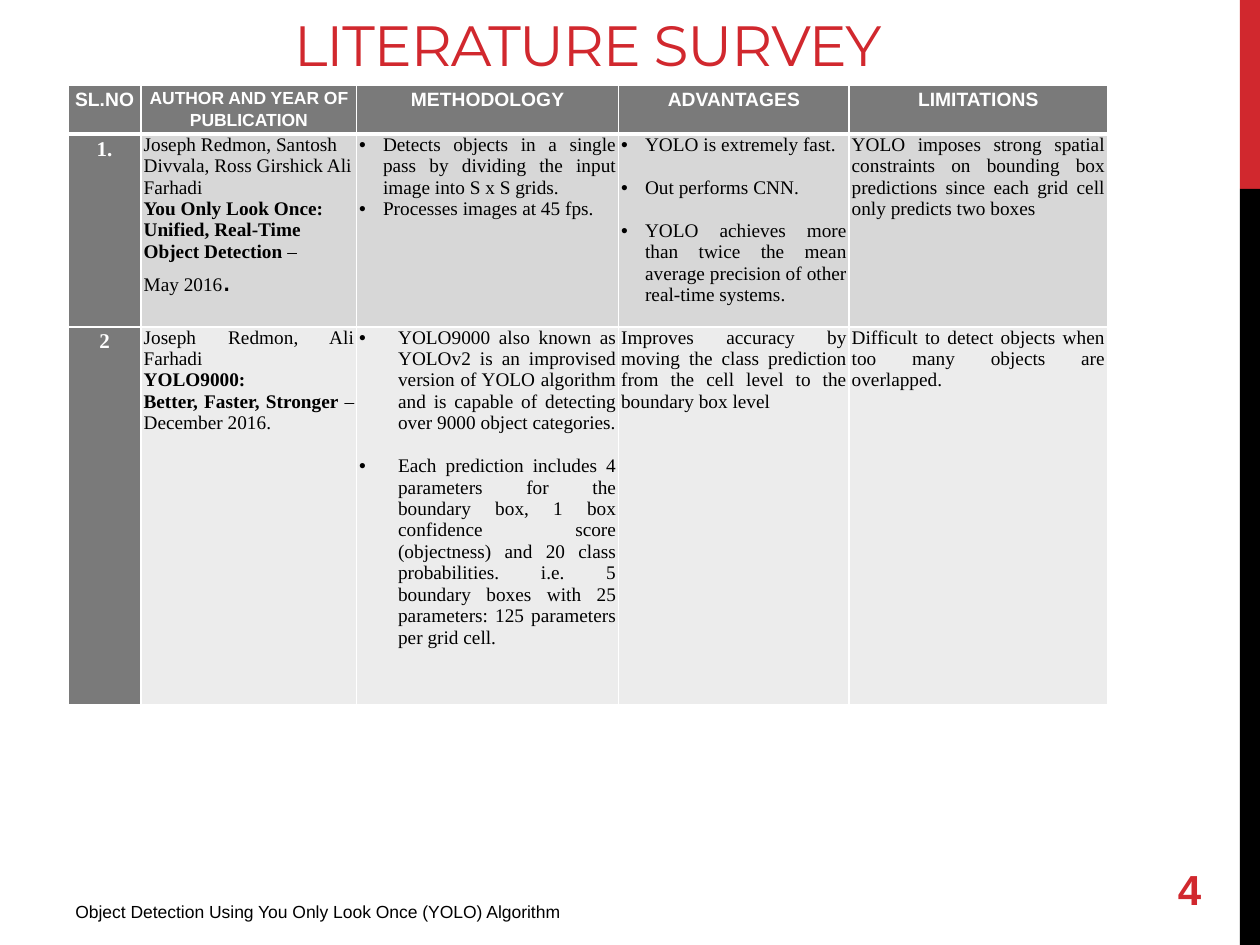
"""Build the literature survey slide with its table of object detection papers."""
from lxml import etree
from pptx import Presentation
from pptx.dml.color import RGBColor
from pptx.enum.shapes import MSO_SHAPE
from pptx.enum.text import MSO_ANCHOR, PP_ALIGN
from pptx.oxml.ns import qn
from pptx.util import Inches, Pt

RECT = MSO_SHAPE.RECTANGLE
TOP, MIDDLE, BOTTOM = MSO_ANCHOR.TOP, MSO_ANCHOR.MIDDLE, MSO_ANCHOR.BOTTOM
LEFT, CENTER, JUSTIFY = PP_ALIGN.LEFT, PP_ALIGN.CENTER, PP_ALIGN.JUSTIFY

COLORS = {
    "red": "D1282E", "black": "000000", "white": "FFFFFF",
    "head": "7A7A7A", "odd": "D7D7D7", "even": "ECECEC",
}
SERIF, SANS = "Times New Roman", "Arial"
BLANK_LINE = 12.3

BARS = [(0, 1.5, "red"), (1.5, 6, "black")]
LABELS = [
    ("Object Detection Using You Only Look Once (YOLO) Algorithm",
     (0.5, 7.1, 5.17, 0.31), TOP, LEFT, {"size": 10, "color": "black"}),
    ("4", (9.25, 6.84, 0.59, 0.42), MIDDLE, LEFT,
     {"size": 24, "color": "red", "bold": True}),
    ("LITERATURE SURVEY", (0, -0.01, 9.33, 0.68), BOTTOM, CENTER,
     {"size": 32.4, "color": "red", "font": "Montserrat", "spacing": -60}),
]

TABLE_AT = (0.54, 0.68)
COL_WIDTHS = [0.58, 1.71, 2.08, 1.83, 2.05]
ROW_HEIGHTS = [0.34, 1.53, 3]
HEADERS = [("SL.NO", 11), ("AUTHOR AND YEAR OF PUBLICATION", 10),
           ("METHODOLOGY", 11), ("ADVANTAGES", 11), ("LIMITATIONS", 11)]
BOLD = {"bold": True}


def para(*runs, align=JUSTIFY, indent=0, before=0, line=None):
    """Describe one paragraph; each run is a text or a (text, style) pair."""
    runs = [(r, {}) if isinstance(r, str) else r for r in runs]
    return {"runs": runs, "align": align, "indent": indent,
            "before": before, "line": line}


def heading(text, size, font):
    """Describe a centred white heading cell."""
    style = {"size": size, "font": font, "color": "white", "bold": True}
    return [para((text, style), align=CENTER, line=1.15)]


ROWS = [
    [heading(text, size, SANS) for text, size in HEADERS],
    [
        heading("1.", 12, SERIF),
        [
            para("Joseph Redmon, Santosh Divvala, Ross Girshick Ali Farhadi", align=LEFT),
            para(("You Only Look Once:", BOLD), align=LEFT),
            para(("Unified, Real-Time Object Detection", BOLD), " –", align=LEFT),
            para("May 2016", (".", {"size": 18, "font": SANS}), align=LEFT),
        ],
        [
            para("Detects objects in a single pass by dividing the input image "
                 "into S x S grids.", indent=0.19),
            para("Processes images at 45 fps.", indent=0.19),
        ],
        [
            para("YOLO is extremely fast.", align=LEFT, indent=0.19),
            para("Out performs CNN.", align=LEFT, indent=0.19, before=BLANK_LINE),
            para("YOLO achieves more than twice the mean average precision of "
                 "other real-time systems.", indent=0.19, before=BLANK_LINE),
        ],
        [para("YOLO imposes strong spatial constraints on bounding box predictions "
              "since each grid cell only predicts two boxes")],
    ],
    [
        heading("2", 12, SERIF),
        [
            para("Joseph Redmon, Ali Farhadi"),
            para(("YOLO9000:", BOLD)),
            para(("Better, Faster, Stronger ", BOLD), "– December 2016."),
        ],
        [
            para("YOLO9000 also known as YOLOv2 is an improvised version of YOLO "
                 "algorithm and is capable of detecting over 9000 object categories.",
                 indent=0.31),
            para("Each prediction includes 4 parameters for the boundary box, 1 box "
                 "confidence score (objectness) and 20 class probabilities. i.e. 5 "
                 "boundary boxes with 25 parameters: 125 parameters per grid cell.",
                 indent=0.31, before=BLANK_LINE),
        ],
        [para("Improves accuracy by moving the class prediction from the cell level "
              "to the boundary box level")],
        [para("Difficult to detect objects when too many objects are overlapped.")],
    ],
]


def rgb(name):
    return RGBColor.from_string(COLORS[name])


def add_run(p, text, size=11, font=SANS, color="black", bold=False, spacing=None):
    r = p.add_run()
    r.text = text
    r.font.size, r.font.name, r.font.bold = Pt(size), font, bold
    r.font.color.rgb = rgb(color)
    if spacing is not None:
        r.font._element.set("spc", str(spacing))


def add_bullet(p, indent):
    pPr = p._p.get_or_add_pPr()
    pPr.set("marL", str(Inches(indent)))
    pPr.set("indent", str(-Inches(indent)))
    etree.SubElement(pPr, qn("a:buFont"), typeface=SANS)
    etree.SubElement(pPr, qn("a:buChar"), char="•")


def write_paragraphs(tf, paragraphs):
    for i, item in enumerate(paragraphs):
        p = tf.add_paragraph() if i else tf.paragraphs[0]
        p.alignment = item["align"]
        p.space_before = Pt(item["before"])
        if item["line"]:
            p.line_spacing = item["line"]
        if item["indent"]:
            add_bullet(p, item["indent"])
        for text, style in item["runs"]:
            add_run(p, text, **{"font": SERIF, **style})


def add_borders(cell, widths):
    tcPr = cell._tc.get_or_add_tcPr()
    for side, width in widths.items():
        ln = etree.SubElement(tcPr, qn(f"a:ln{side}"), w=str(Pt(width)))
        fill = etree.SubElement(ln, qn("a:solidFill"))
        etree.SubElement(fill, qn("a:srgbClr"), val=COLORS["white"])


def add_survey_table(s):
    size = sum(COL_WIDTHS), sum(ROW_HEIGHTS)
    frame = s.shapes.add_table(len(ROWS), len(COL_WIDTHS),
                               *map(Inches, TABLE_AT + size))
    table = frame.table
    table.first_row = table.horz_banding = False
    for column, width in zip(table.columns, COL_WIDTHS):
        column.width = Inches(width)
    for row, height in zip(table.rows, ROW_HEIGHTS):
        row.height = Inches(height)
    for i, row in enumerate(ROWS):
        for j, paragraphs in enumerate(row):
            cell = table.cell(i, j)
            cell.margin_left = cell.margin_right = Inches(0.02)
            cell.margin_top = cell.margin_bottom = 0
            add_borders(cell, {"L": 1, "R": 1, "T": 3 if i == 1 else 1,
                               "B": 3 if i == 0 else 1})
            cell.fill.solid()
            body = "odd" if i % 2 else "even"
            cell.fill.fore_color.rgb = rgb("head" if i == 0 or j == 0 else body)
            write_paragraphs(cell.text_frame, paragraphs)


def main():
    prs = Presentation()
    prs.slide_width, prs.slide_height = Inches(10), Inches(7.5)
    s = prs.slides.add_slide(prs.slide_layouts[6])
    for top, height, color in BARS:
        sp = s.shapes.add_shape(RECT, *map(Inches, (9.84, top, 0.16, height)))
        sp.shadow.inherit = False
        sp.fill.solid()
        sp.fill.fore_color.rgb = rgb(color)
        sp.line.fill.background()
    for text, box, anchor, align, style in LABELS:
        tf = s.shapes.add_textbox(*map(Inches, box)).text_frame
        tf.word_wrap = True
        tf.vertical_anchor = anchor
        tf.paragraphs[0].alignment = align
        add_run(tf.paragraphs[0], text, **style)
    add_survey_table(s)
    prs.save("out.pptx")


if __name__ == "__main__":
    main()
